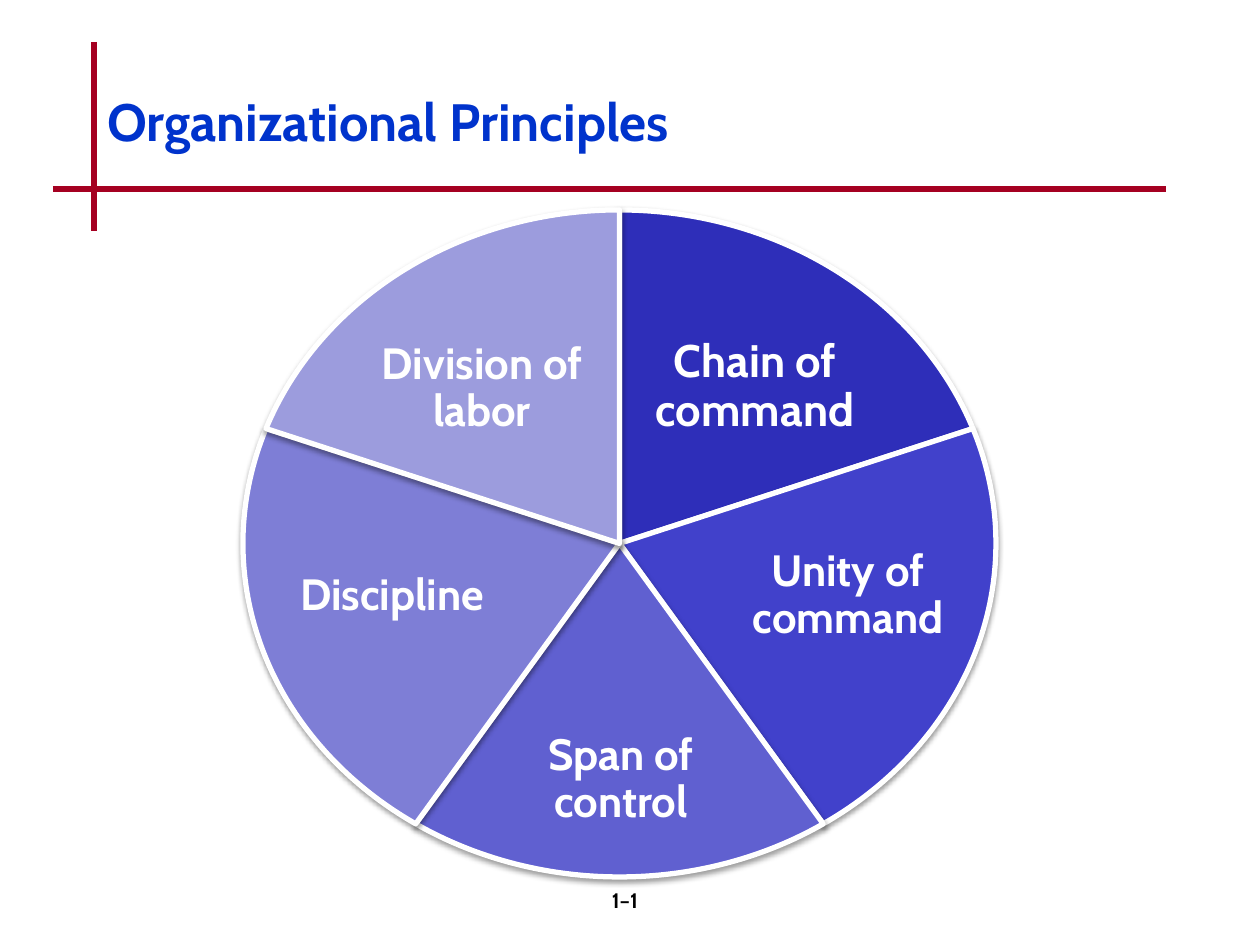
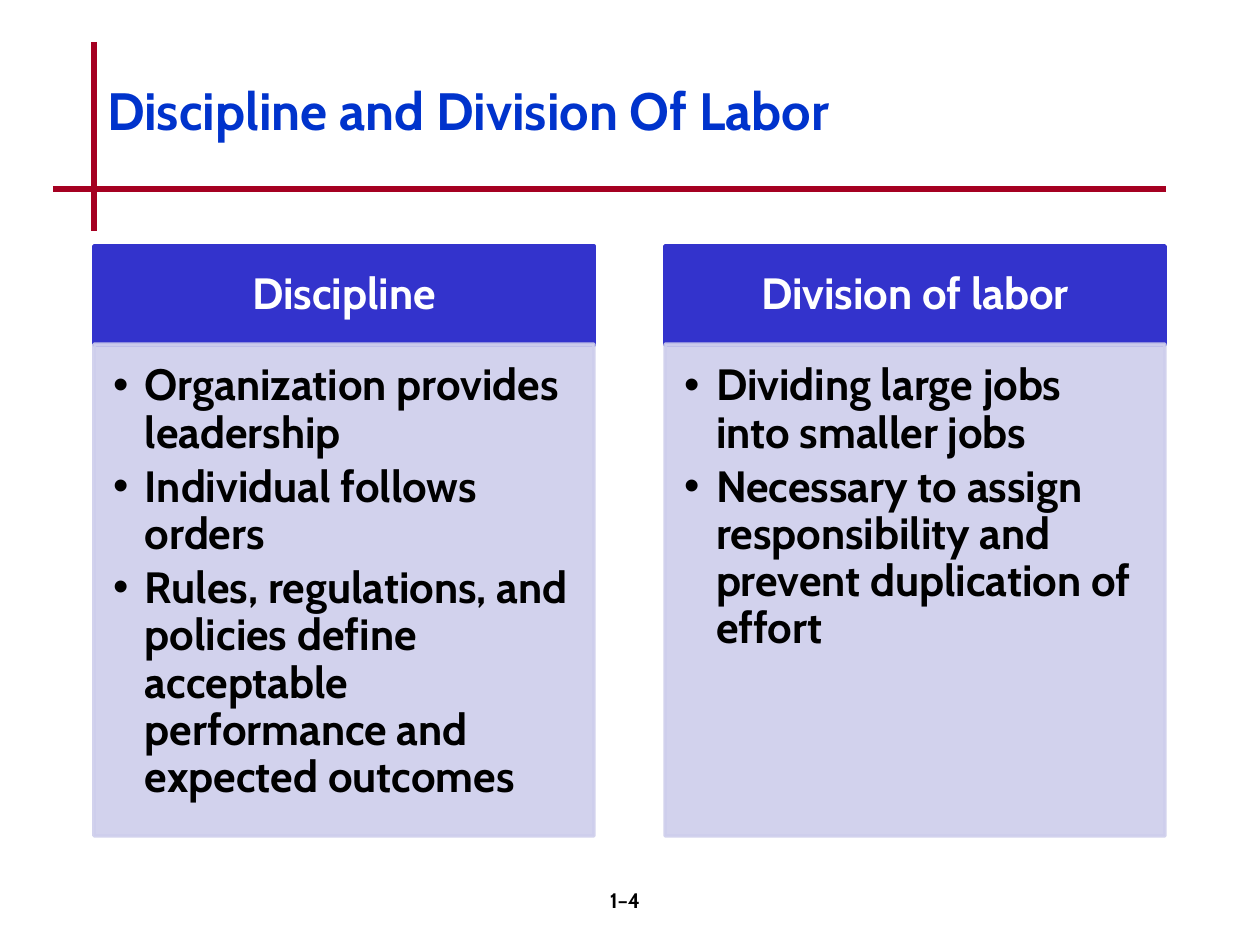
import lxml.etree
import pptx
import pptx.dml.color
import pptx.enum.shapes
import pptx.enum.text
import pptx.oxml.ns
import pptx.util

PX_PER_INCH = 126
WHITE, BLACK = "FFFFFF", "000000"
CENTER = pptx.enum.text.PP_ALIGN.CENTER
LEFT = pptx.enum.text.PP_ALIGN.LEFT
MIDDLE = pptx.enum.text.MSO_ANCHOR.MIDDLE
TOP = pptx.enum.text.MSO_ANCHOR.TOP


def px(length):
    return pptx.util.Emu(round(length * 914400 / PX_PER_INCH))


def color(hex_code):
    return pptx.dml.color.RGBColor.from_string(hex_code)


def add_xml(parent, tag, **attributes):
    return lxml.etree.SubElement(
        parent, pptx.oxml.ns.qn(tag), {k: str(v) for k, v in attributes.items()})


class Deck:
    """Holds the shared style and the slide being built."""
    font = "Cabin"
    title_color = "0033CC"
    rule_color = "A50021"

    def __init__(self):
        self.prs = pptx.Presentation()
        self.prs.slide_width, self.prs.slide_height = px(1260), px(945)
        self.slide = None

    def new_slide(self, layout, title, title_top, page):
        self.slide = self.prs.slides.add_slide(self.prs.slide_layouts[layout])
        self.rule(94, 42, 94, 231)
        self.rule(53, 189, 1166, 189)
        heading = self.slide.shapes.title
        self.place(heading, 94, title_top, 1071, 147)
        self.set_text(heading, [title], 30, self.title_color, LEFT, MIDDLE, spacing=0.8)
        self.label(page, 494, 882, 262, 63, 12, BLACK, TOP, (13, 6, 13, 6), 1.0)

    def place(self, shape, left, top, width, height):
        shape.left, shape.top = px(left), px(top)
        shape.width, shape.height = px(width), px(height)

    def rule(self, x1, y1, x2, y2):
        line = self.slide.shapes.add_connector(
            pptx.enum.shapes.MSO_CONNECTOR.STRAIGHT, px(x1), px(y1), px(x2), px(y2))
        line.line.color.rgb = color(self.rule_color)
        line.line.width = pptx.util.Pt(3)
        add_xml(line._element.spPr, "a:effectLst")

    def set_text(self, shape, texts, size, ink, align, anchor,
                 insets=(13, 6, 13, 6), spacing=0.9, after=0):
        frame = shape.text_frame
        frame.word_wrap = True
        frame.auto_size = pptx.enum.text.MSO_AUTO_SIZE.NONE
        frame.vertical_anchor = anchor
        (frame.margin_left, frame.margin_top,
         frame.margin_right, frame.margin_bottom) = map(px, insets)
        frame.text = "\n".join(texts)
        for paragraph in frame.paragraphs:
            paragraph.alignment = align
            paragraph.line_spacing = spacing
            paragraph.space_before = pptx.util.Pt(0)
            paragraph.space_after = pptx.util.Pt(after)
            paragraph.font.name = self.font
            paragraph.font.size = pptx.util.Pt(size)
            paragraph.font.bold = True
            paragraph.font.color.rgb = color(ink)

    def label(self, text, left, top, width, height, size=25, ink=WHITE,
              anchor=MIDDLE, insets=(4, 4, 4, 4), spacing=0.9):
        box = self.slide.shapes.add_textbox(px(left), px(top), px(width), px(height))
        self.set_text(box, [text], size, ink, CENTER, anchor, insets, spacing)

    def wedge(self, start, sweep, fill):
        piece = self.slide.shapes.add_shape(
            pptx.enum.shapes.MSO_SHAPE.PIE, px(243), px(210), px(753), px(667))
        # One degree is 0.6 in the units of the preset's adjustments
        piece.adjustments[0] = start % 360 * 0.6
        piece.adjustments[1] = (start + sweep) % 360 * 0.6
        self.paint(piece, fill, WHITE, 3)
        effects = add_xml(piece._element.spPr, "a:effectLst")
        shadow = add_xml(effects, "a:outerShdw", blurRad=pptx.util.Pt(3.1),
                         dist=pptx.util.Pt(1.6), dir=90 * 60000, rotWithShape=0)
        add_xml(add_xml(shadow, "a:srgbClr", val=BLACK), "a:alpha", val=38000)

    def paint(self, shape, fill, outline, width, opacity=100):
        shape.fill.solid()
        shape.fill.fore_color.rgb = color(fill)
        shape.line.color.rgb = color(outline)
        shape.line.width = pptx.util.Pt(width)
        if opacity < 100:
            for tint in list(shape._element.spPr.iter(pptx.oxml.ns.qn("a:srgbClr"))):
                add_xml(tint, "a:alpha", val=opacity * 1000)

    def column(self, left, first_holder, heading, points):
        holders = self.slide.placeholders
        header, body = holders[first_holder], holders[first_holder + 1]
        self.place(header, left, 246, 500, 99)
        self.paint(header, "3333CC", "3333CC", 2)
        self.set_text(header, [heading], 25, WHITE, CENTER, MIDDLE, (24, 14, 24, 14))
        self.place(body, left, 344, 500, 492)
        self.paint(body, "CECEEC", "CECEEC", 2, opacity=90)
        self.set_text(body, points, 25, BLACK, LEFT, TOP, (19, 19, 24, 28), after=4)
        for paragraph in body.text_frame.paragraphs:
            properties = paragraph._p.get_or_add_pPr()
            properties.set("marL", str(px(32)))
            properties.set("indent", str(-px(32)))
            bullet = add_xml(properties, "a:buChar", char="•")
            # The schema wants the bullet ahead of the font defaults
            properties.find(pptx.oxml.ns.qn("a:defRPr")).addprevious(bullet)


def main():
    deck = Deck()

    # Principles wheel: five equal wedges, clockwise from the top
    deck.new_slide(5, "Organizational Principles", 53, "1–1")
    principles = [
        ("Chain of command", "2E2EB9", (627, 310, 256, 155), 26),
        ("Unity of command", "4141CB", (736, 512, 224, 168), 25),
        ("Span of control", "6060D0", (486, 709, 270, 142), 25),
        ("Discipline", "7E7ED6", (280, 512, 224, 168), 25),
        ("Division of labor", "9C9CDD", (354, 311, 256, 155), 25),
    ]
    sweep = 360 / len(principles)
    for index, (name, fill, area, size) in enumerate(principles):
        deck.wedge(270 + index * sweep, sweep, fill)
        deck.label(name, *area, size=size)

    # Two principles side by side
    deck.new_slide(4, "Discipline and Division Of Labor", 42, "1–4")
    deck.column(94, 1, "Discipline", [
        "Organization provides leadership",
        "Individual follows orders",
        "Rules, regulations, and policies define acceptable performance "
        "and expected outcomes",
    ])
    deck.column(665, 3, "Division of labor", [
        "Dividing large jobs into smaller jobs",
        "Necessary to assign responsibility and prevent duplication of effort",
    ])

    deck.prs.save("out.pptx")


if __name__ == "__main__":
    main()
